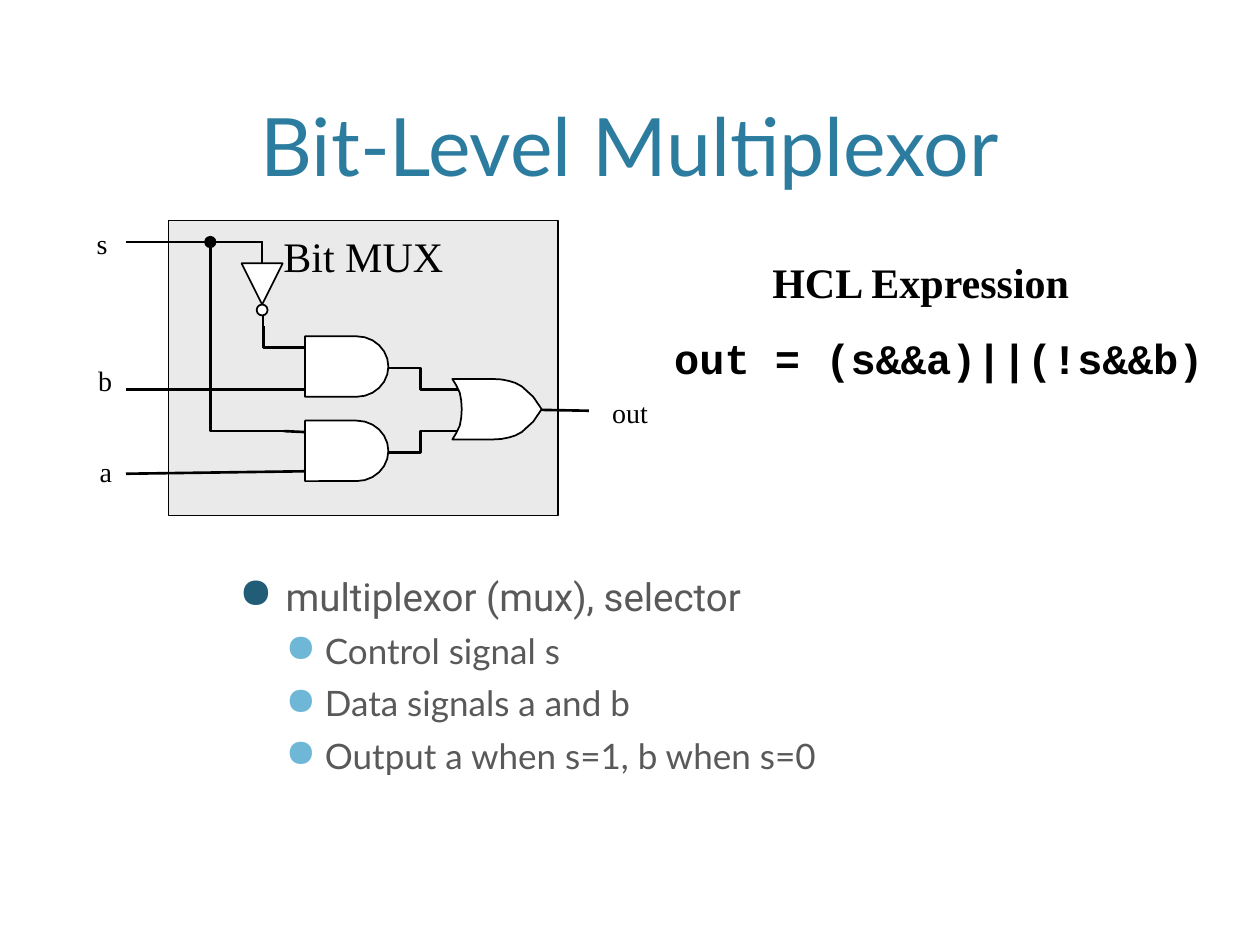
import math
from lxml import etree
from pptx import Presentation
from pptx.dml.color import RGBColor
from pptx.enum.shapes import MSO_CONNECTOR, MSO_SHAPE
from pptx.enum.text import MSO_ANCHOR, PP_ALIGN
from pptx.oxml.ns import qn
from pptx.util import Cm, Pt

STRAIGHT = MSO_CONNECTOR.STRAIGHT
RECT, OVAL = MSO_SHAPE.RECTANGLE, MSO_SHAPE.OVAL
TOP, BOTTOM = MSO_ANCHOR.TOP, MSO_ANCHOR.BOTTOM
LEFT, CENTER, RIGHT = PP_ALIGN.LEFT, PP_ALIGN.CENTER, PP_ALIGN.RIGHT
SERIF, MONO = "Times New Roman", "Courier New"
COLORS = {"title": "2C7C9F", "body": "595959", "ink": "000000", "panel": "EAEAEA",
          "gate": "FFFFFF", "major": "215D77", "minor": "6FB7D7"}

WIRES = [
    [(7.85, 7.42), (8.48, 7.42), (8.48, 7.85), (9.32, 7.85)],
    [(7.85, 9.12), (8.48, 9.12), (8.48, 8.69), (9.32, 8.69)],
    [(10.77, 8.26), (11.87, 8.28)],
    [(5.3, 6.37), (5.3, 6.58)],
    [(5.28, 4.88), (5.28, 5.31)],
    [(5.72, 7.01), (6.15, 7.01)],
    [(2.54, 7.85), (6.15, 7.85)],
    [(5.72, 8.69), (6.15, 8.71)],
    [(2.54, 9.55), (6.15, 9.5)],
    [(5.72, 8.69), (4.24, 8.69), (4.24, 4.88)],
    [(2.54, 4.88), (5.31, 4.88)],
    [(5.72, 7.01), (5.31, 7.01), (5.31, 6.58)],
]
LABELS = [
    ("s", (1.7, 4.45, 0.74, 0.94), LEFT),
    ("b", (1.7, 7.21, 0.81, 0.94), RIGHT),
    ("a", (1.75, 9.04, 0.76, 0.94), RIGHT),
    ("out", (12.09, 7.85, 1.68, 0.94), LEFT),
]
HEADS = [
    ("HCL Expression", (15.44, 5.05, 6.3, 1.3), SERIF),
    ("out = (s&&a)||(!s&&b)", (13.46, 6.58, 11.02, 1.3), MONO),
]
POINTS = [
    ("multiplexor (mux), selector", 0),
    ("Control signal s", 1),
    ("Data signals a and b", 1),
    ("Output a when s=1, b when s=0", 1),
]
LEVELS = [(1.9, -0.94, "major", "Roboto", 22), (2.69, -0.79, "minor", "Lato", 20)]


def rgb(name):
    """Return the named colour."""
    return RGBColor.from_string(COLORS[name])


def add_run(para, text, font, size, color="ink", bold=False):
    """Add one styled run to a paragraph."""
    run = para.add_run()
    run.text = text
    run.font.name, run.font.size, run.font.bold = font, Pt(size), bold
    run.font.color.rgb = rgb(color)


def add_box(slide, box, wrap=True, anchor=TOP, inset=0.25):
    """Add an empty text box and return its frame."""
    frame = slide.shapes.add_textbox(*map(Cm, box)).text_frame
    frame.word_wrap, frame.vertical_anchor = wrap, anchor
    frame.margin_left = frame.margin_right = Cm(inset)
    return frame


def paint(shape, fill, width):
    """Set the fill and outline of a shape."""
    shape.shadow.inherit = False
    if fill:
        shape.fill.solid()
        shape.fill.fore_color.rgb = rgb(fill)
    else:
        shape.fill.background()
    shape.line.color.rgb = rgb("ink")
    shape.line.width = Pt(width)


def add_form(slide, kind, box, fill, width=0.75):
    """Add a painted preset shape."""
    shape = slide.shapes.add_shape(kind, *map(Cm, box))
    paint(shape, fill, width)
    return shape


def add_path(slide, spots, fill=None, width=1.5):
    """Draw a freeform through spots, closed when it is filled."""
    spots = [(Cm(x), Cm(y)) for x, y in spots]
    pen = slide.shapes.build_freeform(*spots[0])
    pen.add_line_segments(spots[1:], close=bool(fill))
    paint(pen.convert_to_shape(), fill, width)


def add_wire(slide, spots):
    """Draw a straight wire as a connector and a bent one as a path."""
    if len(spots) > 2:
        add_path(slide, spots)
        return
    (x1, y1), (x2, y2) = spots
    wire = slide.shapes.add_connector(STRAIGHT, Cm(x1), Cm(y1), Cm(x2), Cm(y2))
    wire.line.color.rgb = rgb("ink")
    wire.line.width = Pt(1.5)
    etree.SubElement(wire.element.spPr, qn("a:effectLst"))


def add_and(slide, left, top):
    """Draw an AND gate with a rounded right side."""
    width, high, bow = 1.68, 1.22, 0.64
    mid = top + high / 2
    arc = [math.radians(deg) for deg in range(-90, 91, 15)]
    curve = [(left + width - bow + bow * math.cos(t), mid + high / 2 * math.sin(t))
             for t in arc]
    add_path(slide, [(left, top), *curve, (left, top + high)], "gate", 1)


def add_or(slide, left, mid):
    """Draw an OR gate by mirroring its upper half."""
    half = [(0.19, 0), (0.18, 0.17), (0.15, 0.33), (0.08, 0.48), (0, 0.61), (0.81, 0.61),
            (0.99, 0.6), (1.14, 0.57), (1.27, 0.53), (1.4, 0.46), (1.63, 0.25), (1.8, 0)]
    upper = [(left + x, mid - y) for x, y in half]
    lower = [(left + x, mid + y) for x, y in half[-2:0:-1]]
    add_path(slide, upper + lower, "gate", 1)


def add_not(slide, left, top):
    """Draw an inverter that points down."""
    size = 0.83
    mid, tip = left + size / 2, top + size
    add_path(slide, [(left, top), (left + size, top), (mid, tip)], "gate", 1)
    add_form(slide, OVAL, (mid - 0.11, tip, 0.22, 0.22), "gate", 1)


def add_bullet(para, margin, indent, color):
    """Give a paragraph a round coloured bullet."""
    props = para._p.get_or_add_pPr()
    props.set("marL", str(Cm(margin)))
    props.set("indent", str(Cm(indent)))
    tint = etree.SubElement(props, qn("a:buClr"))
    etree.SubElement(tint, qn("a:srgbClr"), val=COLORS[color])
    etree.SubElement(props, qn("a:buSzPct"), val="110000")
    etree.SubElement(props, qn("a:buChar"), char="●")


def add_list(slide):
    """Add the bulleted notes."""
    frame = add_box(slide, (3.61, 11.42, 16.97, 5.82))
    for i, (text, level) in enumerate(POINTS):
        para = frame.add_paragraph() if i else frame.paragraphs[0]
        margin, indent, tint, font, size = LEVELS[level]
        para.level = level
        para.space_before = Pt(6 if i else 0)
        add_bullet(para, margin, indent, tint)
        add_run(para, text, font, size, "body")


def add_panel(slide):
    """Add the grey circuit panel with its name."""
    frame = add_form(slide, RECT, (3.4, 4.45, 7.85, 5.94), "panel").text_frame
    frame.vertical_anchor, frame.margin_top = TOP, Cm(0.2)
    para = frame.paragraphs[0]
    para.alignment = CENTER
    add_run(para, "Bit MUX", SERIF, 24)


def main():
    """Build the slide and save it."""
    deck = Presentation()
    deck.slide_width, deck.slide_height = Cm(25.4), Cm(19.05)
    slide = deck.slides.add_slide(deck.slide_layouts[6])
    para = add_box(slide, (1.52, 0.3, 22.35, 3.71), anchor=BOTTOM).paragraphs[0]
    para.alignment = CENTER
    add_run(para, "Bit-Level Multiplexor", "Lato", 46, "title")
    add_list(slide)
    add_panel(slide)
    for spots in WIRES:
        add_wire(slide, spots)
    add_or(slide, 9.12, 8.25)
    add_not(slide, 4.87, 5.31)
    for top in (6.78, 8.48):
        add_and(slide, 6.15, top)
    add_form(slide, OVAL, (4.13, 4.77, 0.22, 0.22), "ink")
    for text, box, align in LABELS:
        para = add_box(slide, box, wrap=False).paragraphs[0]
        para.alignment = align
        add_run(para, text, SERIF, 16)
    for text, box, font in HEADS:
        para = add_box(slide, box, wrap=False, inset=0.13).paragraphs[0]
        add_run(para, text, font, 24, bold=True)
    deck.save("out.pptx")


if __name__ == "__main__":
    main()
